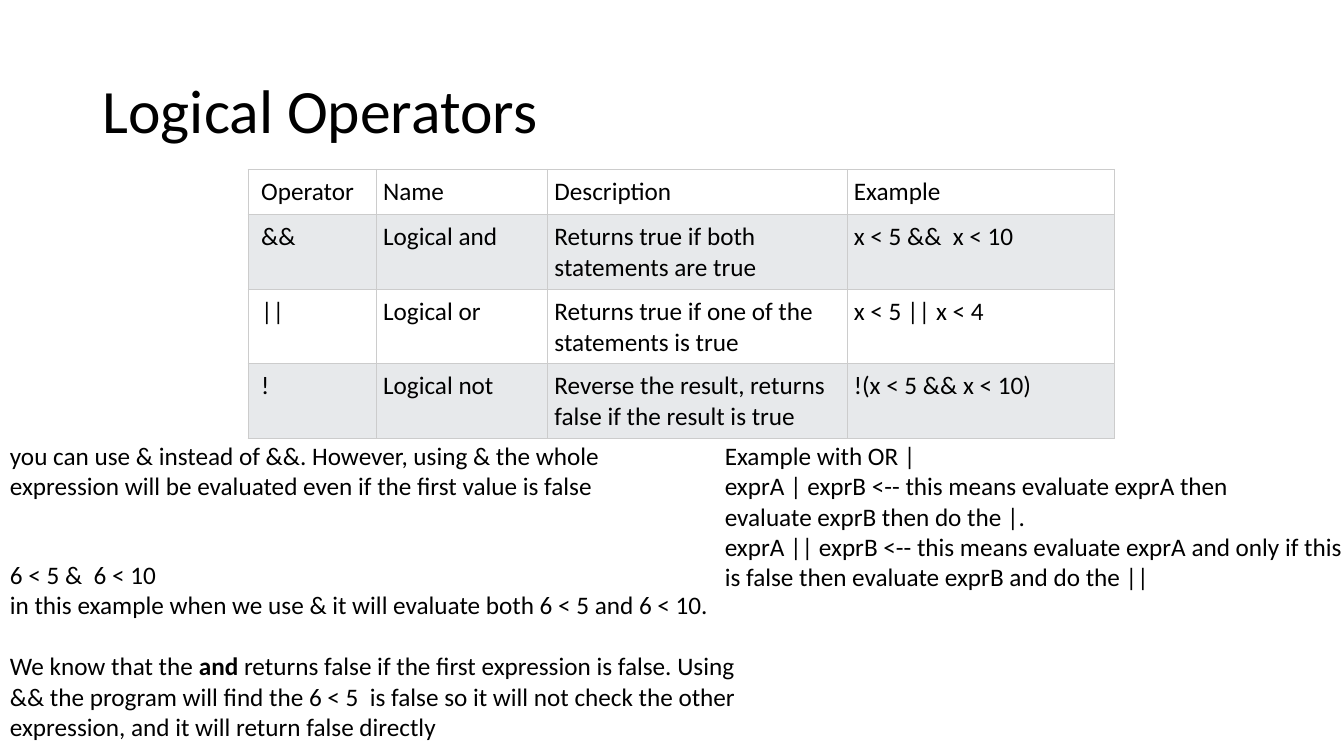
from lxml import etree
from pptx import Presentation
from pptx import util as u
from pptx.dml.color import RGBColor
from pptx.enum import text
from pptx.oxml.ns import qn

BLACK = RGBColor(0x00, 0x00, 0x00)
WHITE = RGBColor(0xFF, 0xFF, 0xFF)
BAND = RGBColor(0xE7, 0xE9, 0xEB)
GRID = RGBColor(0xCC, 0xCC, 0xCC)
HARD_SPACE = chr(160)  # keeps two words on one line

# Content; a paragraph is a string or a list of (text, bold) runs
TITLE = "Logical Operators"
OPERATORS = [
    ("Operator", "Name", "Description", "Example"),
    ("&&", "Logical and", "Returns true if both statements are true",
     f"x < 5 &&{HARD_SPACE} x < 10"),
    ("||", "Logical or", "Returns true if one of the statements is true", "x < 5 || x < 4"),
    ("!", "Logical not", "Reverse the result, returns false if the result is true",
     "!(x < 5 && x < 10)"),
]
SINGLE_AND = ["you can use & instead of &&. However, using & the whole expression "
              "will be evaluated even if the first value is false"]
AND_EXAMPLE = [
    f"6 < 5 &{HARD_SPACE} 6 < 10",
    "in this example when we use & it will evaluate both 6 < 5 and 6 < 10.",
    [("We know that the ", False), ("and", True),
     (" returns false if the first expression is false. Using && the program will find "
      "the 6 < 5  is false so it will not check the other expression, "
      "and it will return false directly", False)],
]
OR_EXAMPLE = [
    "Example with OR |",
    f"exprA | exprB <-- this means evaluate exprA then evaluate{HARD_SPACE}exprB "
    "then do the |.",
    f"exprA || exprB <-- this means evaluate exprA and only if this is{HARD_SPACE}false "
    "then evaluate exprB and do the ||",
]

# Layout in inches
SLIDE_W, SLIDE_H = 13.33, 7.5
TABLE_LEFT, TABLE_TOP = 2.46, 1.68
COLUMNS = [1.27, 1.7, 2.97, 2.65]
ROWS = [0.45] + [0.74] * 3
NOTES_TOP = 4.32
OR_LEFT = 7.09
BLANK_LINE = 22  # points


def write(frame, paragraphs, size=18, spacing=None, gaps=None):
    """Fill a text frame; gaps maps a paragraph's index to its space before."""
    frame.word_wrap = True
    for i, content in enumerate(paragraphs):
        par = frame.paragraphs[0] if i == 0 else frame.add_paragraph()
        if spacing:
            par.line_spacing = spacing
        if gaps and i in gaps:
            par.space_before = u.Pt(gaps[i])
        runs = [(content, False)] if isinstance(content, str) else content
        for words, bold in runs:
            run = par.add_run()
            run.text = words
            run.font.name = "Calibri"
            run.font.size = u.Pt(size)
            run.font.bold = bold
            run.font.color.rgb = BLACK


def add_box(slide, left, top, width, height, paragraphs,
            anchor=text.MSO_ANCHOR.TOP, right_margin=0.1, **style):
    box = slide.shapes.add_textbox(*map(u.Inches, (left, top, width, height)))
    box.text_frame.vertical_anchor = anchor
    box.text_frame.margin_right = u.Inches(right_margin)
    write(box.text_frame, paragraphs, **style)


def outline(cell):
    props = cell._tc.get_or_add_tcPr()
    for i, side in enumerate(("lnL", "lnR", "lnT", "lnB")):
        line = etree.Element(qn("a:" + side), w=str(u.Pt(0.6)))
        fill = etree.SubElement(line, qn("a:solidFill"))
        etree.SubElement(fill, qn("a:srgbClr"), val=str(GRID))
        props.insert(i, line)


def add_operator_table(slide):
    table = slide.shapes.add_table(
        len(ROWS), len(COLUMNS),
        *map(u.Inches, (TABLE_LEFT, TABLE_TOP, sum(COLUMNS), sum(ROWS)))).table
    for column, width in zip(table.columns, COLUMNS):
        column.width = u.Inches(width)
    for r, (row, height) in enumerate(zip(table.rows, ROWS)):
        row.height = u.Inches(height)
        for c, cell in enumerate(row.cells):
            cell.margin_left = u.Inches(0.07 if c else 0.13)
            cell.margin_right = cell.margin_top = cell.margin_bottom = u.Inches(0.07)
            cell.fill.solid()
            cell.fill.fore_color.rgb = BAND if r % 2 else WHITE
            write(cell.text_frame, [OPERATORS[r][c]])
            outline(cell)


def main():
    deck = Presentation()
    deck.slide_width, deck.slide_height = u.Inches(SLIDE_W), u.Inches(SLIDE_H)
    slide = deck.slides.add_slide(deck.slide_layouts[6])

    # Title and table
    add_box(slide, 0.92, 0.4, 11.5, 1.45, [TITLE], anchor=text.MSO_ANCHOR.MIDDLE,
            size=44, spacing=0.9)
    add_operator_table(slide)

    # Notes under the table; the OR note ends at the slide's edge
    add_box(slide, 0, NOTES_TOP, SLIDE_W / 2, 0.71, SINGLE_AND)
    add_box(slide, 0, 5.5, 7.58, SLIDE_H - 5.5, AND_EXAMPLE, gaps={2: BLANK_LINE})
    add_box(slide, OR_LEFT, NOTES_TOP, SLIDE_W - OR_LEFT, 1.62, OR_EXAMPLE, right_margin=0)

    deck.save("out.pptx")


if __name__ == "__main__":
    main()
